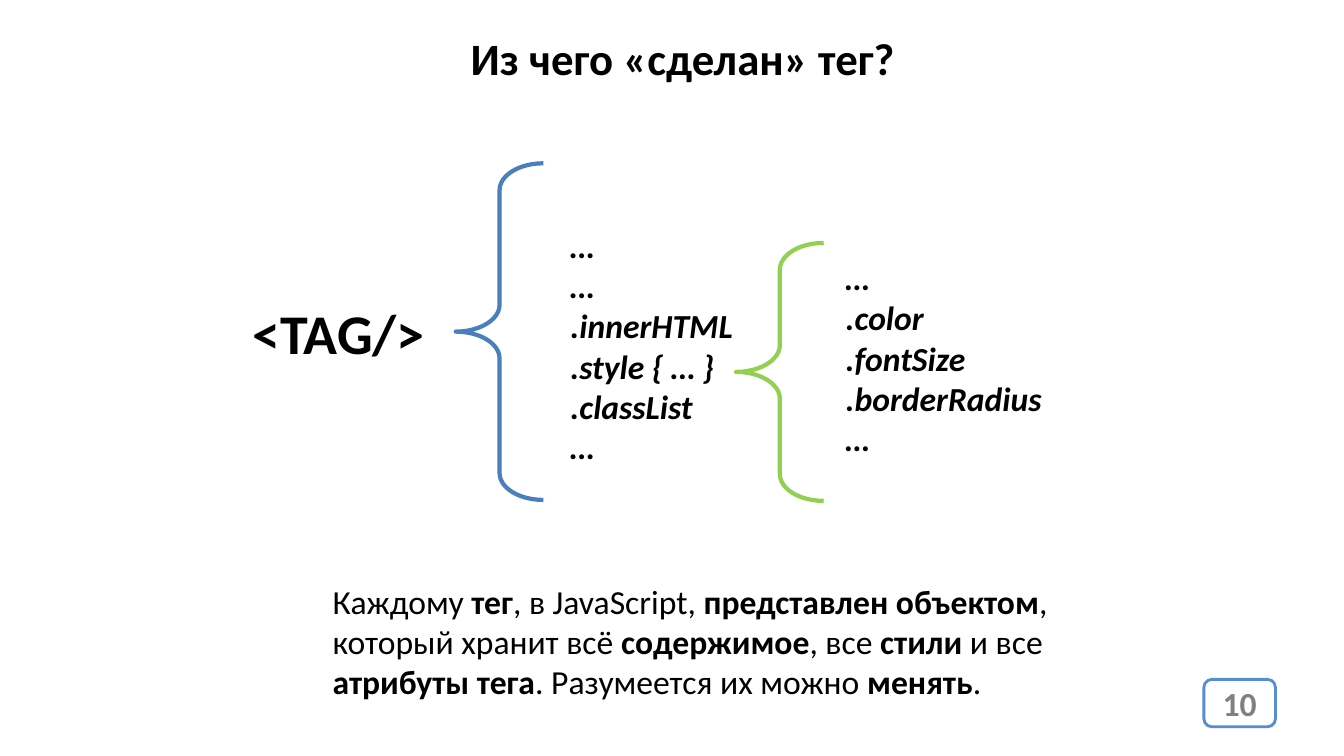
import pptx
import pptx.util
import pptx.dml.color
import pptx.enum.shapes
import pptx.enum.text

Inches = pptx.util.Inches
COLORS = {
    "text": "000000",
    "number": "808080",
    "badge_fill": "FFFFFF",
    "badge_line": "558ED5",
    "tag_brace": "4B7EBC",
    "style_brace": "92D050",
}


def rgb(name):
    return pptx.dml.color.RGBColor.from_string(COLORS[name])


def set_font(font, size, color="text", bold=None, italic=None):
    font.name = "Calibri"
    font.size = pptx.util.Pt(size)
    font.color.rgb = rgb(color)
    font.bold = bold
    font.italic = italic


deck = pptx.Presentation()
deck.slide_width = Inches(13.33)
deck.slide_height = Inches(7.5)
page = deck.slides.add_slide(deck.slide_layouts[6])

# Page number badge
badge = page.shapes.add_shape(
    pptx.enum.shapes.MSO_SHAPE.ROUNDED_RECTANGLE,
    Inches(11.94), Inches(6.74), Inches(0.71), Inches(0.47))
badge.shadow.inherit = False
badge.fill.solid()
badge.fill.fore_color.rgb = rgb("badge_fill")
badge.line.color.rgb = rgb("badge_line")
badge.line.width = pptx.util.Pt(2)
frame = badge.text_frame
frame.margin_left = frame.margin_right = 0
frame.vertical_anchor = pptx.enum.text.MSO_ANCHOR.MIDDLE
para = frame.paragraphs[0]
para.text = "10"
para.alignment = pptx.enum.text.PP_ALIGN.CENTER
set_font(para.font, 24, "number", bold=True)

# Braces opening the tag and its style
for left, top, height, color in [
    (4.52, 1.62, 3.34, "tag_brace"),
    (7.3, 2.41, 2.56, "style_brace"),
]:
    brace = page.shapes.add_shape(
        pptx.enum.shapes.MSO_SHAPE.LEFT_BRACE,
        Inches(left), Inches(top), Inches(0.87), Inches(height))
    brace.adjustments[0] = 0.305
    brace.adjustments[1] = 0.5
    brace.shadow.inherit = False
    brace.fill.background()
    brace.line.color.rgb = rgb(color)
    brace.line.width = pptx.util.Pt(3)

# Title, tag and property lists
for left, top, width, height, size, italic, lines in [
    (4.57, 0.26, 4.45, 0.64, 32, None, ["Из чего «сделан» тег?"]),
    (2.41, 2.91, 1.93, 0.77, 40, None, ["<TAG/>"]),
    (5.56, 2.18, 1.83, 2.52, 24, True,
     ["…", "…", ".innerHTML", ".style { … }", ".classList", "…"]),
    (8.29, 2.5, 2.16, 2.12, 24, True,
     ["…", ".color", ".fontSize", ".borderRadius", "…"]),
]:
    box = page.shapes.add_textbox(
        Inches(left), Inches(top), Inches(width), Inches(height))
    frame = box.text_frame
    frame.word_wrap = False
    frame.auto_size = pptx.enum.text.MSO_AUTO_SIZE.SHAPE_TO_FIT_TEXT
    frame.text = "\n".join(lines)
    for para in frame.paragraphs:
        set_font(para.font, size, bold=True, italic=italic)

# Explanation, with every second span in bold
box = page.shapes.add_textbox(
    Inches(3.2), Inches(5.71), Inches(7.72), Inches(1.31))
frame = box.text_frame
frame.word_wrap = True
frame.auto_size = pptx.enum.text.MSO_AUTO_SIZE.SHAPE_TO_FIT_TEXT
para = frame.paragraphs[0]
for index, words in enumerate([
    "Каждому ", "тег", ", в JavaScript, ", "представлен объектом",
    ", который хранит всё ", "содержимое", ", все ", "стили", " и все ",
    "атрибуты тега", ". Разумеется их можно ", "менять", ".",
]):
    span = para.add_run()
    span.text = words
    set_font(span.font, 24, bold=index % 2 == 1)

deck.save("out.pptx")
